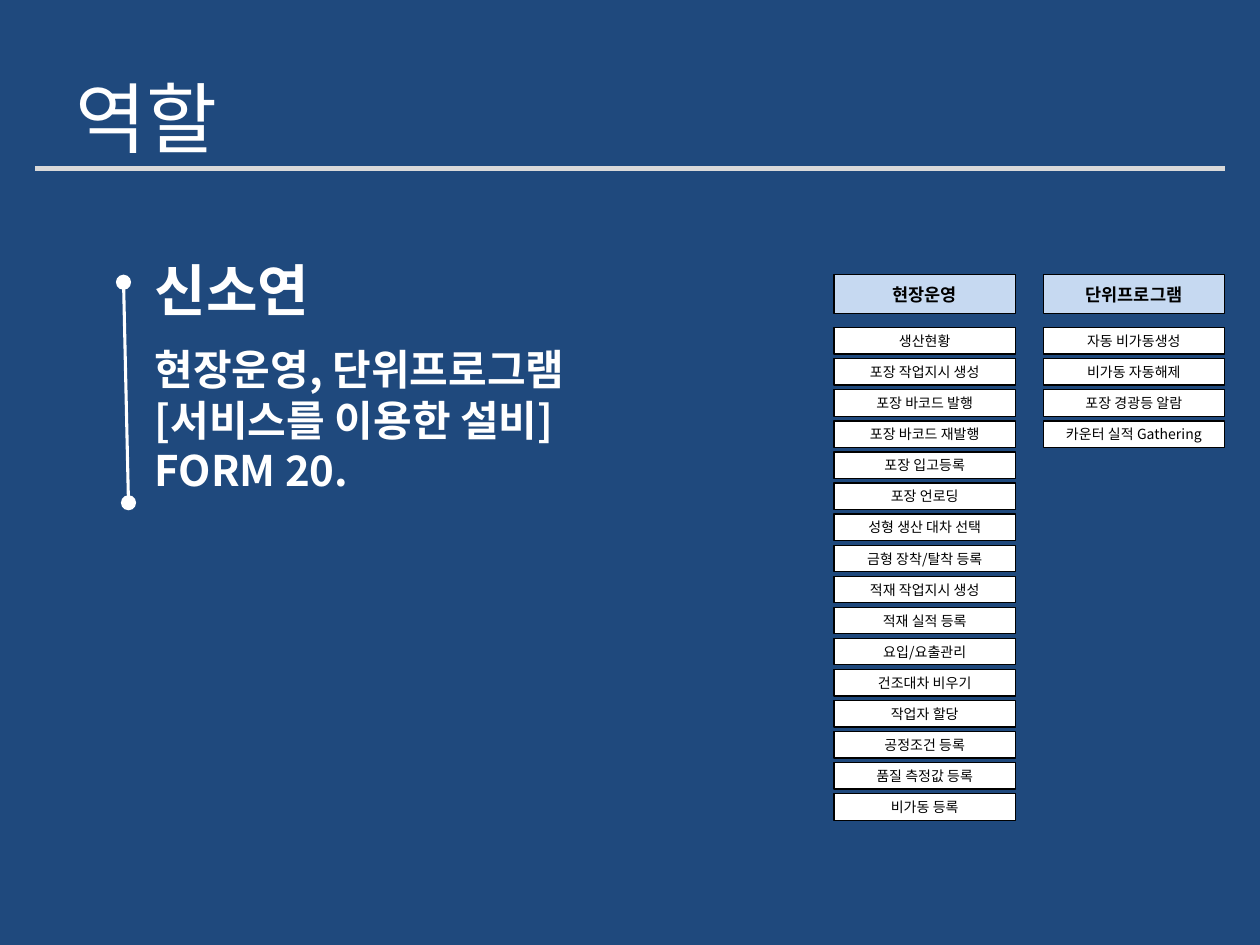
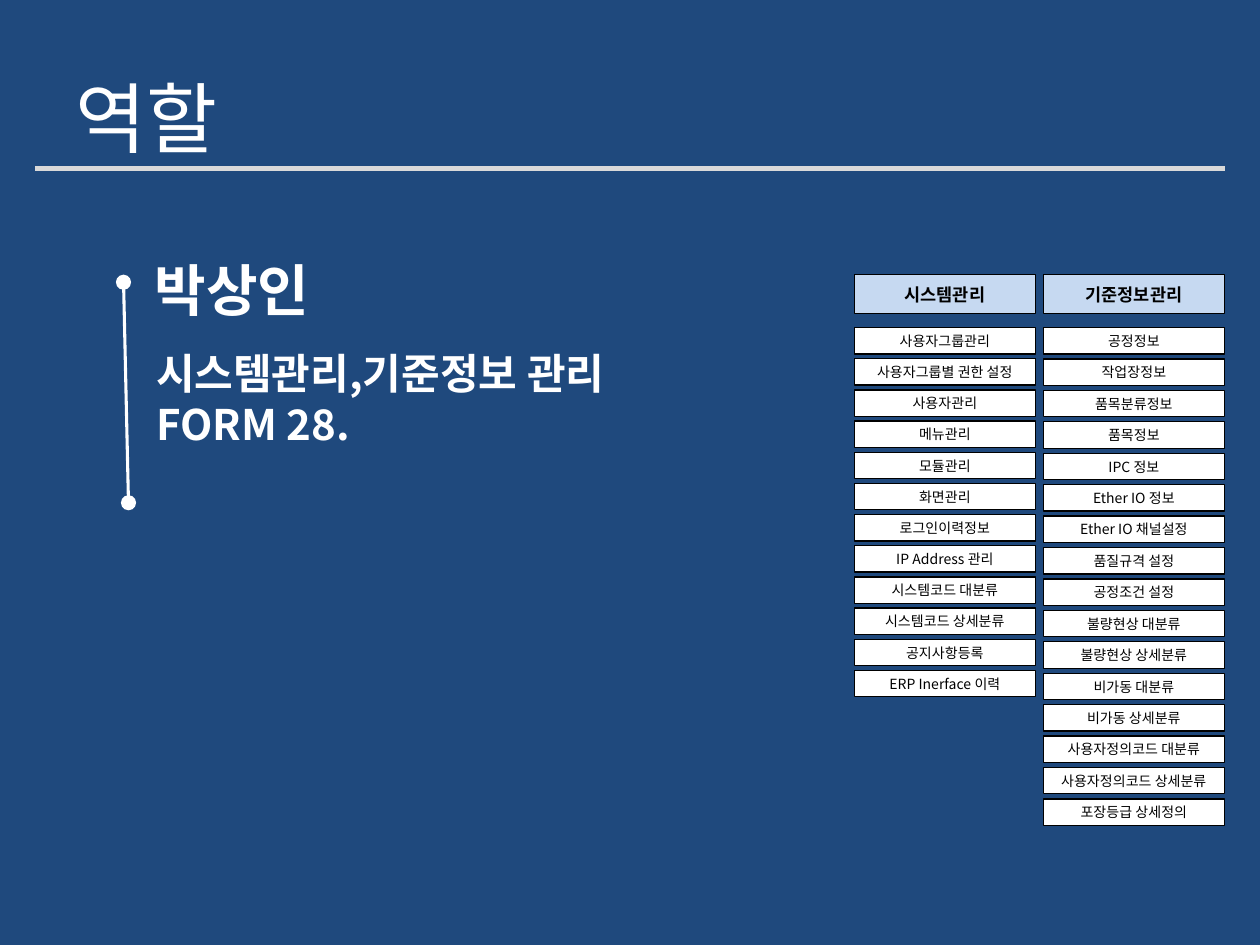
"""Builds two slides that list each member's role and screens."""
from lxml import etree
from pptx import Presentation
from pptx.dml.color import RGBColor
from pptx.enum import shapes as sh, text as tx
from pptx.oxml import ns
from pptx.util import Inches, Pt

NAVY = RGBColor(0x1F, 0x49, 0x7D)
SKY = RGBColor(0xC6, 0xD9, 0xF1)
GRAY = RGBColor(0xD9, 0xD9, 0xD9)
WHITE = RGBColor(0xFF, 0xFF, 0xFF)
BLACK = RGBColor(0, 0, 0)
FACE = "Noto Sans CJK KR"
TITLE = "역할"

ROLES = [
    {
        "name": "신소연",
        "duty": ["현장운영, 단위프로그램", "[서비스를 이용한 설비]", "FORM 20."],
        "box": (1.13, 2.68, 3.77, 1.31),
        "lists": [
            {"head": "현장운영", "left": 6.62, "last": 6.3, "items": [
                "생산현황", "포장 작업지시 생성", "포장 바코드 발행",
                "포장 바코드 재발행", "포장 입고등록", "포장 언로딩",
                "성형 생산 대차 선택", "금형 장착/탈착 등록",
                "적재 작업지시 생성", "적재 실적 등록", "요입/요출관리",
                "건조대차 비우기", "작업자 할당", "공정조건 등록",
                "품질 측정값 등록", "비가동 등록"]},
            {"head": "단위프로그램", "left": 8.28, "last": 3.34, "items": [
                "자동 비가동생성", "비가동 자동해제", "포장 경광등 알람",
                "카운터 실적 Gathering"]},
        ],
    },
    {
        "name": "박상인",
        "duty": ["시스템관리,기준정보 관리\vFORM 28."],
        "box": (1.14, 2.71, 4.11, 0.91),
        "lists": [
            {"head": "시스템관리", "left": 6.78, "last": 5.32, "items": [
                "사용자그룹관리", "사용자그룹별 권한 설정", "사용자관리",
                "메뉴관리", "모듈관리", "화면관리", "로그인이력정보",
                "IP Address 관리", "시스템코드 대분류",
                "시스템코드 상세분류", "공지사항등록", "ERP Inerface 이력"]},
            {"head": "기준정보관리", "left": 8.28, "last": 6.34, "items": [
                "공정정보", "작업장정보", "품목분류정보", "품목정보",
                "IPC 정보", "Ether IO 정보", "Ether IO 채널설정",
                "품질규격 설정", "공정조건 설정", "불량현상 대분류",
                "불량현상 상세분류", "비가동 대분류", "비가동 상세분류",
                "사용자정의코드 대분류", "사용자정의코드 상세분류",
                "포장등급 상세정의"]},
        ],
    },
]

WIDE, HEAD, ROW = 1.44, 0.31, 0.21
TOP, FIRST, DOT = 2.18, 2.6, 0.12
BIG = {"size": Pt(44), "bold": False}
NAME = {"size": Pt(32), "bold": True}
DUTY = {"size": Pt(24), "bold": True}
LABEL = {"size": Pt(10), "bold": True}
ITEM = {"size": Pt(8), "bold": False}


def write(frame, lines, style, color, align=tx.PP_ALIGN.LEFT):
    for i, line in enumerate(lines):
        para = frame.add_paragraph() if i else frame.paragraphs[0]
        para.text, para.alignment = line, align
        for run in para.runs:
            for key, val in {"name": FACE, **style}.items():
                setattr(run.font, key, val)
            run.font.color.rgb = color
            ea = etree.SubElement(run.font._element, ns.qn("a:ea"))
            ea.set("typeface", FACE)


def label(slide, box, lines, style, fit=True):
    frame = slide.shapes.add_textbox(*map(Inches, box)).text_frame
    frame.word_wrap = not fit
    if fit:
        frame.auto_size = tx.MSO_AUTO_SIZE.SHAPE_TO_FIT_TEXT
    else:
        frame.vertical_anchor = tx.MSO_ANCHOR.MIDDLE
    write(frame, lines, style, WHITE)


def rule(slide, ends, color, width):
    line = slide.shapes.add_connector(
        sh.MSO_CONNECTOR.STRAIGHT, *map(Inches, ends))
    line.line.color.rgb, line.line.width = color, Pt(width)
    etree.SubElement(line._element.spPr, ns.qn("a:effectLst"))


def shape(slide, kind, box, fill):
    item = slide.shapes.add_shape(kind, *map(Inches, box))
    item.shadow.inherit = False
    item.fill.solid()
    item.fill.fore_color.rgb = fill
    item.line.fill.background()
    return item


def cell(slide, box, fill, words, style):
    item = shape(slide, sh.MSO_SHAPE.RECTANGLE, box, fill)
    item.line.color.rgb, item.line.width = BLACK, Pt(0.75)
    frame = item.text_frame
    frame.word_wrap = False
    frame.vertical_anchor = tx.MSO_ANCHOR.MIDDLE
    write(frame, [words], style, BLACK, tx.PP_ALIGN.CENTER)


def column(slide, part):
    left, items = part["left"], part["items"]
    step = (part["last"] - FIRST) / (len(items) - 1)
    cell(slide, (left, TOP, WIDE, HEAD), SKY, part["head"], LABEL)
    for i, words in enumerate(items):
        cell(slide, (left, FIRST + i * step, WIDE, ROW), WHITE, words, ITEM)


def base(deck):
    slide = deck.slides.add_slide(deck.slide_layouts[6])
    slide.background.fill.solid()
    slide.background.fill.fore_color.rgb = NAVY
    label(slide, (0.5, 0.3, 9, 1.25), [TITLE], BIG, fit=False)
    rule(slide, (0.28, 1.34, 9.72, 1.34), GRAY, 3)
    rule(slide, (0.98, 2.21, 1.02, 3.99), WHITE, 1.75)
    for left, top in [(0.92, 2.18), (0.96, 3.93)]:
        shape(slide, sh.MSO_SHAPE.OVAL, (left, top, DOT, DOT), WHITE)
    return slide


deck = Presentation()
deck.slide_width, deck.slide_height = Inches(10), Inches(7.5)
for role in ROLES:
    slide = base(deck)
    label(slide, (1.13, 1.98, 1.55, 0.64), [role["name"]], NAME)
    label(slide, role["box"], role["duty"], DUTY)
    for part in role["lists"]:
        column(slide, part)
deck.save("out.pptx")
